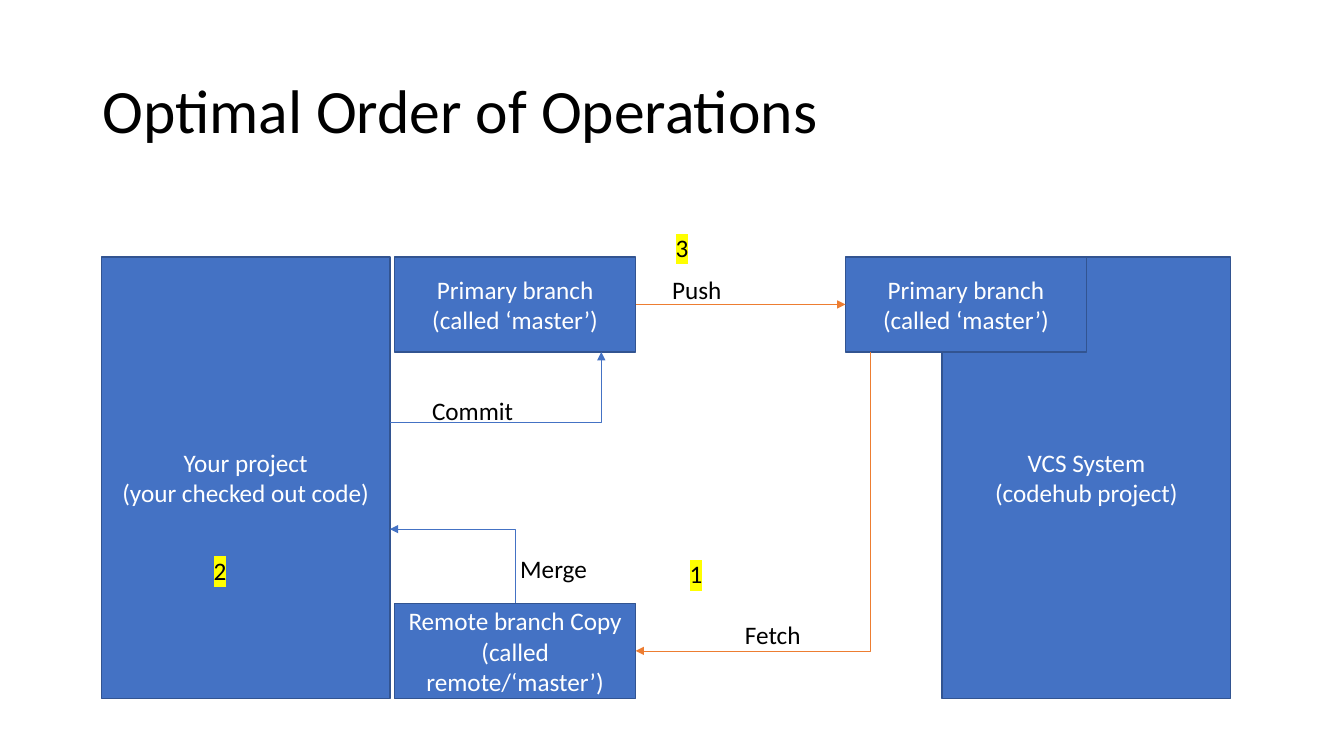
from dataclasses import dataclass

from lxml.etree import SubElement as Sub
from pptx import Presentation
from pptx.dml.color import RGBColor as RGB
from pptx.enum.shapes import MSO_CONNECTOR as Conn, MSO_SHAPE as Shape
from pptx.enum.text import MSO_ANCHOR as Anchor, PP_ALIGN as Align
from pptx.oxml.ns import qn
from pptx.util import Pt


@dataclass(frozen=True)
class Theme:
    font: str = "Calibri"
    head: int = 44
    body: int = 18
    ink: str = "000000"
    pale: str = "FFFFFF"
    blue: str = "4472C4"
    edge: str = "325491"
    flame: str = "ED7D31"
    mark: str = "FFFF00"


THEME = Theme()
TOP, BASE = 183.5, 499
WIDE, SLIM, LOW = 206, 172, 68


def write(frame, text, color, size=THEME.body, align=Align.LEFT):
    """Put each line of text in its own paragraph and return the runs."""
    frame.word_wrap = True
    runs = []
    for i, line in enumerate(text.split("\n")):
        para = frame.paragraphs[0] if i == 0 else frame.add_paragraph()
        para.alignment = align
        run = para.add_run()
        run.text = line
        run.font.name = THEME.font
        run.font.size = Pt(size)
        run.font.color.rgb = RGB.from_string(color)
        runs.append(run)
    return runs


def add_title(slide, text):
    frame = slide.shapes.add_textbox(Pt(66), Pt(29), Pt(828), Pt(104)).text_frame
    frame.vertical_anchor = Anchor.MIDDLE
    write(frame, text, THEME.ink, THEME.head)
    frame.paragraphs[0].line_spacing = 0.9


def add_box(slide, text, x, y, w, h):
    box = slide.shapes.add_shape(Shape.RECTANGLE, Pt(x), Pt(y), Pt(w), Pt(h))
    box.shadow.inherit = False
    box.fill.solid()
    box.fill.fore_color.rgb = RGB.from_string(THEME.blue)
    box.line.color.rgb = RGB.from_string(THEME.edge)
    box.line.width = Pt(1)
    box.text_frame.vertical_anchor = Anchor.MIDDLE
    write(box.text_frame, text, THEME.pale, align=Align.CENTER)
    return box


def add_label(slide, text, x, y, w=101.5):
    frame = slide.shapes.add_textbox(Pt(x), Pt(y), Pt(w), Pt(29)).text_frame
    return write(frame, text, THEME.ink)[0]


def add_step(slide, text, x, y):
    """Add a step number on a marker-pen background."""
    run = add_label(slide, text, x, y, 52)
    props = run.font._element
    light = Sub(props, qn("a:highlight"))
    Sub(light, qn("a:srgbClr"), val=THEME.mark)
    props.find(qn("a:solidFill")).addnext(light)


def add_arrow(slide, kind, start, end, color, tip="tailEnd"):
    """Draw a connector whose tip is at its end (tailEnd) or start (headEnd)."""
    link = slide.shapes.add_connector(kind, *map(Pt, start + end))
    link.line.color.rgb = RGB.from_string(color)
    link.line.width = Pt(0.5)
    props = link._element.spPr
    Sub(props.find(qn("a:ln")), qn("a:" + tip), type="triangle")
    Sub(props, qn("a:effectLst"))
    return link


def add_bend(slide, start, end, color, tip="tailEnd"):
    """Draw a one-corner connector: first across, then up or down."""
    link = add_arrow(slide, Conn.ELBOW, start, end, color, tip)
    link._element.spPr.find(qn("a:prstGeom")).set("prst", "bentConnector2")


def main():
    deck = Presentation()
    deck.slide_width, deck.slide_height = Pt(960), Pt(540)
    slide = deck.slides.add_slide(deck.slide_layouts[6])
    add_title(slide, "Optimal Order of Operations")

    tall = BASE - TOP
    branch = "Primary branch\n(called ‘master’)"
    add_box(slide, "Your project\n(your checked out code)", 72.5, TOP, WIDE, tall)
    local = add_box(slide, branch, 282, TOP, SLIM, LOW)
    add_box(slide, "VCS System\n(codehub project)", 673, TOP, WIDE, tall)
    remote = add_box(slide, branch, 604, TOP, SLIM, LOW)
    add_box(slide, "Remote branch Copy\n(called remote/‘master’)",
            282, BASE - LOW, SLIM, LOW)

    mid = TOP + LOW / 2
    push = add_arrow(slide, Conn.STRAIGHT, (454, mid), (604, mid), THEME.flame)
    push.begin_connect(local, 3)
    push.end_connect(remote, 1)
    add_bend(slide, (278.5, 301.5), (429.5, TOP + LOW), THEME.blue)
    add_bend(slide, (278.5, 378), (368, BASE - LOW), THEME.blue, "headEnd")
    add_bend(slide, (454, BASE - LOW / 2), (622, TOP + LOW), THEME.flame, "headEnd")

    for text, x, y in (("Commit", 301.5, 278.5), ("Push", 473, 192.5),
                       ("Merge", 364.5, 391.5), ("Fetch", 525, 438.5)):
        add_label(slide, text, x, y)
    for text, x, y in (("1", 485.5, 395.5), ("3", 475.5, 162.5), ("2", 145.5, 393)):
        add_step(slide, text, x, y)
    deck.save("out.pptx")


if __name__ == "__main__":
    main()
